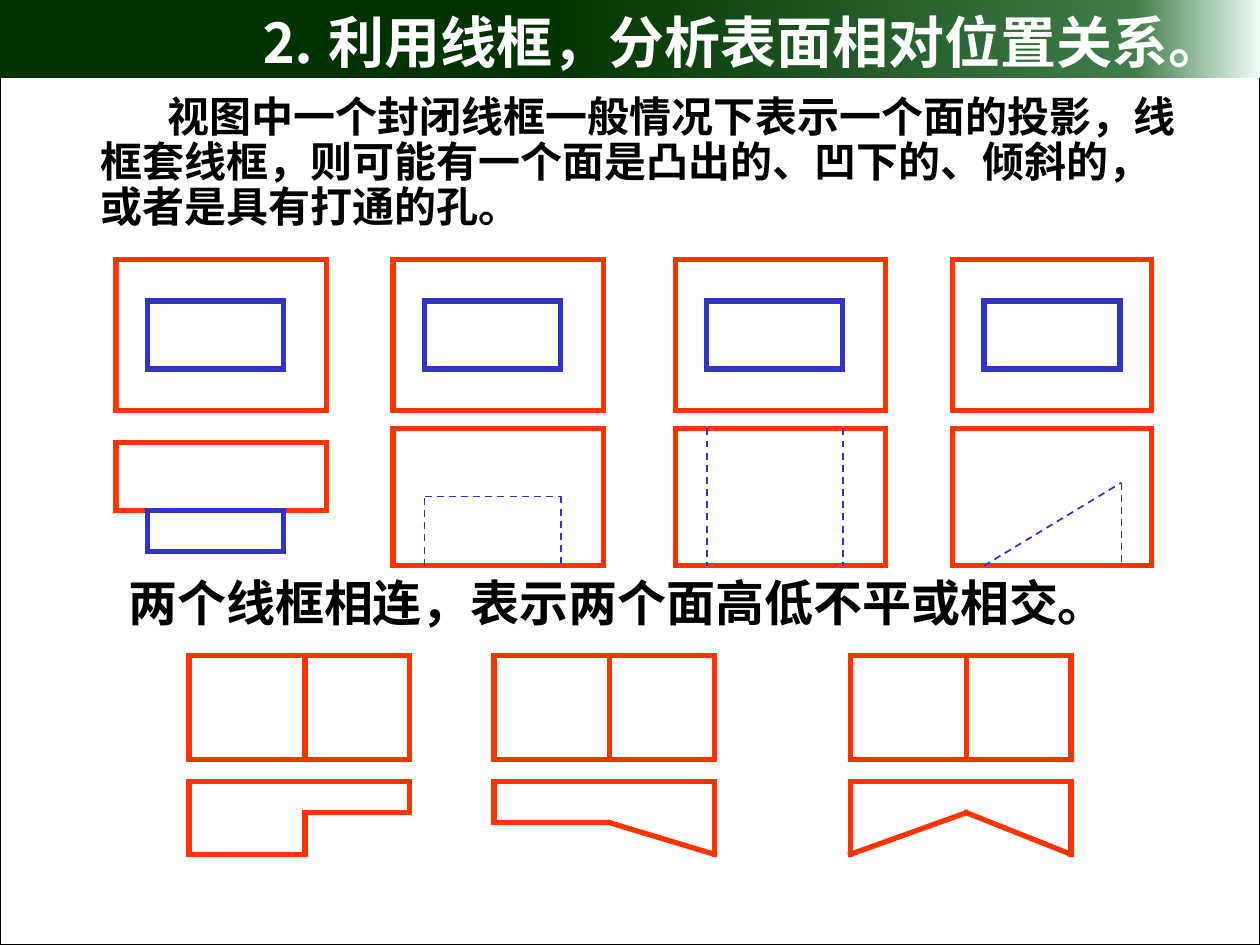
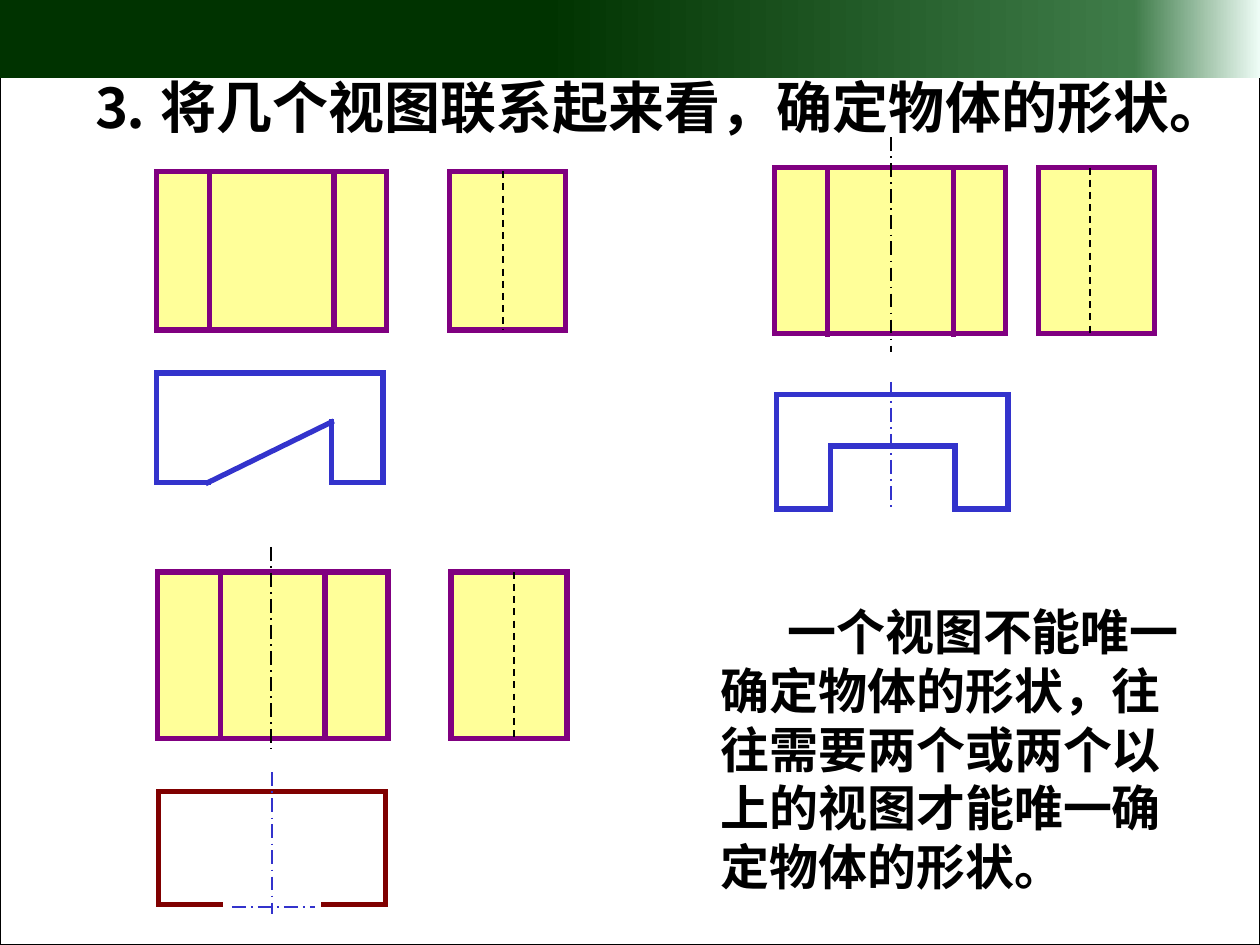
from copy import deepcopy

from lxml import etree
from pptx import Presentation
from pptx import util as u
from pptx.dml.color import RGBColor
from pptx.enum import dml, shapes, text
from pptx.oxml.ns import qn

RED, BLUE, PURPLE, MAROON = "FF3300", "3333CC", "800080", "800000"
BLACK, WHITE, YELLOW = "000000", "FFFFFF", "FFFF99"
BAND_STOPS = [(0.43, "003300"), (0.9, "3F7C49"), (1, "EEFCF6")]
DASH, AXIS = dml.MSO_LINE.DASH, dml.MSO_LINE.LONG_DASH_DOT
THICK, THIN = 3, 1


def rgb(value):
    return RGBColor.from_string(value)


def apply(target, values):
    for name, value in values.items():
        setattr(target, name, value)


class Deck:
    font = {"name": "Times New Roman", "bold": True}
    frame = {"vertical_anchor": text.MSO_ANCHOR.MIDDLE,
             "auto_size": text.MSO_AUTO_SIZE.NONE}

    def __init__(self):
        self.prs = Presentation()
        apply(self.prs, {"slide_width": u.Inches(10), "slide_height": u.Inches(7.5)})
        self.s = None

    def slide(self, title, box, color, wrap=True):
        self.s = self.prs.slides.add_slide(self.prs.slide_layouts[5])
        self.rect(0, 0, 10, 7.5, BLACK, width=0.75)
        self.band()
        sp = self.s.shapes.title
        apply(sp, dict(zip(("left", "top", "width", "height"), map(u.Inches, box))))
        sp.element.getparent().append(sp.element)
        self.set_text(sp, title, 32, color, wrap=wrap)

    def band(self):
        sp = self.rect(0, -0.02, 10, 0.64, None)
        sp.fill.gradient()
        sp.fill.gradient_angle = 0
        stops = sp.element.spPr.find(".//" + qn("a:gsLst"))
        stops.append(deepcopy(stops[0]))
        for stop, (position, color) in zip(sp.fill.gradient_stops, BAND_STOPS):
            stop.position = position
            stop.color.rgb = rgb(color)

    def set_text(self, sp, words, size, color, indent=0, spacing=None, wrap=True):
        tf = sp.text_frame
        apply(tf, {**self.frame, "word_wrap": wrap})
        p = tf.paragraphs[0]
        apply(p, {"alignment": text.PP_ALIGN.LEFT, "line_spacing": spacing})
        if indent:
            p._p.get_or_add_pPr().set("indent", str(u.Inches(indent)))
        r = p.add_run()
        r.text = words
        apply(r.font, {**self.font, "size": u.Pt(size)})
        r.font.color.rgb = rgb(color)

    def note(self, words, x, y, w, h, size, **style):
        sp = self.s.shapes.add_textbox(*map(u.Inches, (x, y, w, h)))
        self.set_text(sp, words, size, BLACK, **style)

    def stroke(self, line, color, width, dash=None):
        line.color.rgb = rgb(color)
        apply(line, {"width": u.Pt(width), "dash_style": dash})
        etree.SubElement(line._ln, qn("a:miter")).set("lim", "800000")

    def rect(self, x, y, w, h, color, fill=None, width=THICK):
        sp = self.s.shapes.add_shape(shapes.MSO_SHAPE.RECTANGLE,
                                     *map(u.Inches, (x, y, w, h)))
        sp.shadow.inherit = False
        if fill:
            sp.fill.solid()
            sp.fill.fore_color.rgb = rgb(fill)
        else:
            sp.fill.background()
        if color:
            self.stroke(sp.line, color, width)
        else:
            sp.line.fill.background()
        return sp

    def line(self, start, end, color, width=THICK, dash=None):
        cx = self.s.shapes.add_connector(shapes.MSO_CONNECTOR.STRAIGHT,
                                         *map(u.Inches, (*start, *end)))
        self.stroke(cx.line, color, width, dash)
        if not dash:
            cx.line._ln.set("cap", "sq")
        etree.SubElement(cx._element.spPr, qn("a:effectLst"))

    def chain(self, points, color, **style):
        for start, end in zip(points, points[1:]):
            self.line(start, end, color, **style)

    def vertical(self, x, top, bottom, color, **style):
        self.line((x, top), (x, bottom), color, **style)


def nested_frames(deck):
    columns = [(0.92, 1.67), (3.12, 1.67), (5.36, 1.67), (7.56, 1.58)]
    for i, (x, w) in enumerate(columns):
        deck.rect(x, 2.06, w, 1.2, RED)
        deck.rect(x + 0.25, 2.39, 1.08, 0.54, BLUE)
        if i == 0:
            deck.rect(x, 3.51, w, 0.54, RED)
            deck.rect(x + 0.25, 4.05, 1.08, 0.33, BLUE)
        else:
            deck.rect(x, 3.4, w, 1.09, RED)
    hidden_edges = [
        [(3.37, 4.49), (3.37, 3.94), (4.45, 3.94), (4.45, 4.49)],
        [(5.61, 3.4), (5.61, 4.49)],
        [(6.69, 3.4), (6.69, 4.49)],
        [(7.81, 4.49), (8.9, 3.83), (8.9, 4.49)],
    ]
    for edge in hidden_edges:
        deck.chain(edge, BLUE, width=THIN, dash=DASH)


def joined_frames(deck):
    w, split, top, low = 1.75, 0.92, 6.2, 6.78
    profiles = [
        (1.5, [(w, 6.45), (split, 6.45), (split, low), (0, low)]),
        (3.92, [(w, low), (split, 6.53), (0, 6.53)]),
        (6.75, [(w, low), (split, 6.45), (0, low)]),
    ]
    for x, underside in profiles:
        deck.rect(x, 5.2, w, 0.83, RED)
        deck.vertical(x + split, 5.2, 6.03, RED)
        outline = [(0, top), (w, top), *underside, (0, top)]
        deck.chain([(x + dx, y) for dx, y in outline], RED)


def front_and_side(deck, x, y, h, edges, side, hidden):
    deck.rect(x, y, 1.83, h, PURPLE, YELLOW)
    deck.rect(side, y, 0.92, h, PURPLE, YELLOW)
    for edge in edges:
        deck.vertical(edge, y, y + h, PURPLE)
    deck.vertical(hidden, y, y + h, BLACK, width=THIN, dash=DASH)


def view_sets(deck):
    front_and_side(deck, 1.24, 1.36, 1.26, (1.66, 2.65), 3.57, 3.99)
    front_and_side(deck, 1.25, 4.54, 1.32, (1.75, 2.58), 3.58, 4.08)
    front_and_side(deck, 6.15, 1.33, 1.32, (6.57, 7.57), 8.24, 8.65)
    plans = [
        (BLUE, [(1.24, 2.96), (3.04, 2.96), (3.04, 3.83), (2.63, 3.83),
                (2.63, 3.35), (1.65, 3.83), (1.24, 3.83), (1.24, 2.96)]),
        (BLUE, [(6.16, 3.13), (8, 3.13), (8, 4.04), (7.58, 4.04), (7.58, 3.54),
                (6.59, 3.54), (6.59, 4.04), (6.16, 4.04), (6.16, 3.13)]),
        (MAROON, [(1.75, 7.18), (1.26, 7.18), (1.26, 6.28), (3.06, 6.28),
                  (3.06, 7.18), (2.57, 7.18)]),
    ]
    for color, outline in plans:
        deck.chain(outline, color)
    axes = [
        (BLACK, (2.15, 4.34), (2.15, 5.94)),
        (BLACK, (7.07, 1.09), (7.07, 2.79)),
        (BLUE, (7.07, 3.03), (7.07, 4.06)),
        (BLUE, (2.16, 6.13), (2.16, 7.25)),
        (BLUE, (1.84, 7.2), (2.5, 7.2)),
    ]
    for color, start, end in axes:
        deck.line(start, end, color, width=THIN, dash=AXIS)


def main():
    deck = Deck()

    deck.slide("⒉ 利用线框，分析表面相对位置关系。", (1.96, 0.01, 9.26, 0.63), WHITE)
    nested_frames(deck)
    joined_frames(deck)
    deck.note("视图中一个封闭线框一般情况下表示一个面的投影，线框套线框，"
              "则可能有一个面是凸出的、凹下的、倾斜的，或者是具有打通的孔。",
              0.7, 0.71, 8.81, 1.18, 24, indent=0.53, spacing=0.9)
    deck.note("两个线框相连，表示两个面高低不平或相交。", 0.92, 4.49, 9.08, 0.57, 28)

    deck.slide("⒊ 将几个视图联系起来看，确定物体的形状。",
               (0.63, 0.53, 9.24, 0.63), BLACK, wrap=False)
    view_sets(deck)
    deck.note("一个视图不能唯一确定物体的形状，往往需要两个或两个以上的视图"
              "才能唯一确定物体的形状。",
              5.62, 4.72, 3.89, 2.44, 28, indent=0.53)

    deck.prs.save("out.pptx")


if __name__ == "__main__":
    main()
